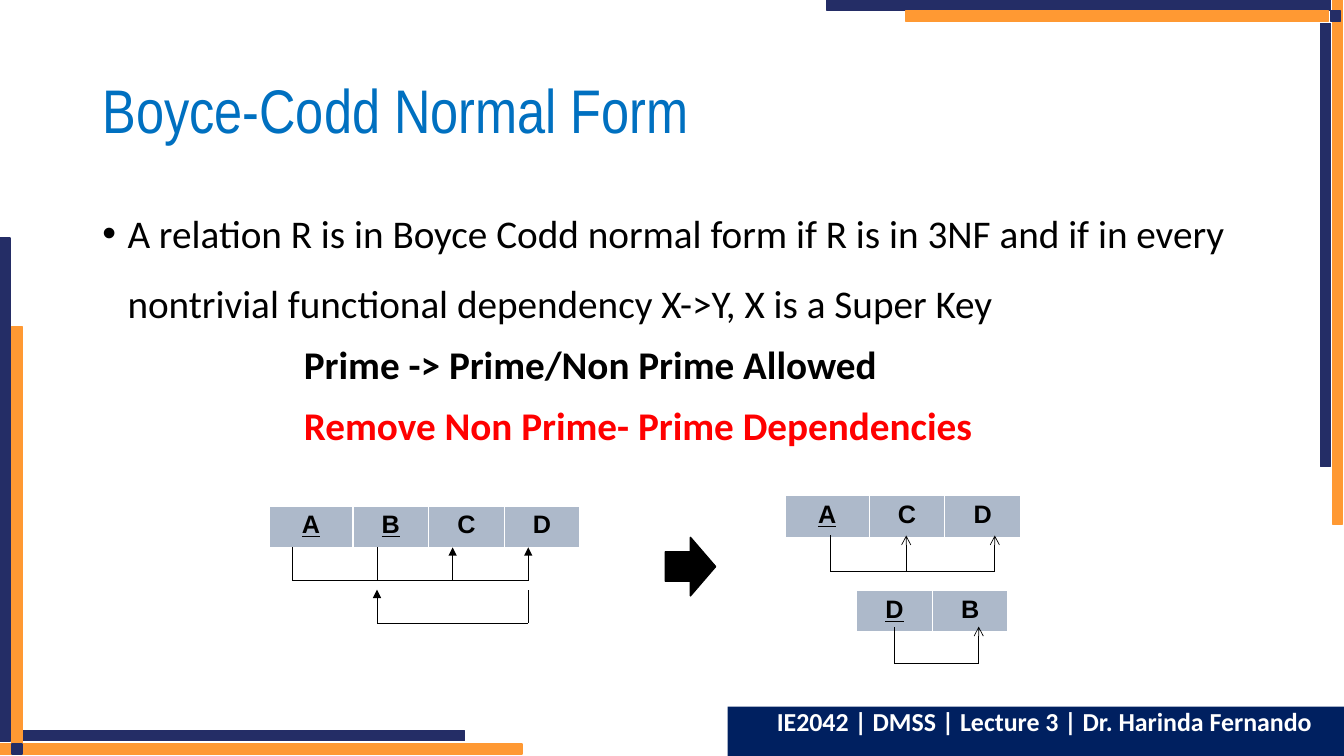
import pptx
import pptx.util
import pptx.dml.color
import pptx.enum.shapes
import pptx.enum.text
import lxml.etree
import pptx.oxml.ns

Pt = pptx.util.Pt
KIND = pptx.enum.shapes.MSO_SHAPE
ALIGN = pptx.enum.text.PP_ALIGN
ANCHOR = pptx.enum.text.MSO_ANCHOR
FIT = pptx.enum.text.MSO_AUTO_SIZE
qn = pptx.oxml.ns.qn

COLORS = {
    "navy": "242D66", "orange": "FF9933", "blue": "0070C0", "foot": "002060",
    "cell": "ADB9CA", "black": "000000", "red": "FF0000", "white": "FFFFFF",
}
BAR = 7.2
BARS = [
    ("orange", 951.8, 0, BAR, 374.4),
    ("navy", 943.2, 16.6, BAR, 316.8),
    ("navy", 590.4, 0, 360, BAR),
    ("orange", 646.6, 7.9, 302.4, BAR),
    ("navy", 950.4, 7.9, BAR, BAR),
    ("orange", 0, 531.4, 373, BAR),
    ("navy", 15.1, 522, 316.8, BAR),
    ("navy", 0, 169.9, BAR, 360),
    ("orange", 8.6, 233.3, BAR, 302.4),
    ("navy", 8.6, 531.4, BAR, BAR),
]


def color(name):
    return pptx.dml.color.RGBColor.from_string(COLORS[name])


def style(para, font, size, tint, bold=False):
    for run in para.runs:
        run.font.name = font
        run.font.size = Pt(size)
        run.font.bold = bold
        run.font.color.rgb = color(tint)


def indent(para, left, first=0):
    props = para._p.get_or_add_pPr()
    props.set("marL", str(Pt(left)))
    props.set("indent", str(Pt(first)))
    return props


def add_block(slide, kind, tint, x, y, w, h, edge=True):
    block = slide.shapes.add_shape(kind, Pt(x), Pt(y), Pt(w), Pt(h))
    block.shadow.inherit = False
    block.fill.solid()
    block.fill.fore_color.rgb = color(tint)
    if edge:
        block.line.color.rgb = color(tint)
        block.line.width = Pt(1)
    else:
        block.line.fill.background()
    return block


def add_title(slide, text):
    title = slide.shapes.title
    title.left, title.top, title.width, title.height = Pt(66), Pt(28.8), Pt(828), Pt(104.4)
    frame = title.text_frame
    frame.text = text
    frame.auto_size = FIT.NONE
    frame.vertical_anchor = ANCHOR.MIDDLE
    para = frame.paragraphs[0]
    para.alignment = ALIGN.LEFT
    para.line_spacing = 0.9
    style(para, "Arial Narrow", 44, "blue")


def add_body(slide, point, rules):
    frame = slide.shapes.add_textbox(Pt(66), Pt(128.9), Pt(854), Pt(361.4)).text_frame
    frame.word_wrap = True
    frame.text = point
    para = frame.paragraphs[0]
    props = indent(para, 18, -18)
    lxml.etree.SubElement(props, qn("a:buFont"), typeface="Arial")
    lxml.etree.SubElement(props, qn("a:buChar"), char="•")
    para.line_spacing = 1.5
    style(para, "Calibri", 28, "black")
    for text, tint in rules:
        para = frame.add_paragraph()
        para.text = text
        indent(para, 144)
        para.space_before = Pt(10)
        style(para, "Calibri", 28, tint, True)


def add_schema(slide, x, y, names, keys, widths):
    table = slide.shapes.add_table(
        1, len(names), Pt(x), Pt(y), Pt(sum(widths)), Pt(29.5)).table
    table.horz_banding = False
    for i, name in enumerate(names):
        table.columns[i].width = Pt(widths[i])
        cell = table.cell(0, i)
        cell.fill.solid()
        cell.fill.fore_color.rgb = color("cell")
        cell.text_frame.text = name
        para = cell.text_frame.paragraphs[0]
        para.alignment = ALIGN.CENTER
        style(para, "Arial", 18, "black", True)
        para.runs[0].font.underline = name in keys


def add_line(slide, x1, y1, x2, y2, tip=None):
    line = slide.shapes.add_connector(
        pptx.enum.shapes.MSO_CONNECTOR.STRAIGHT, Pt(x1), Pt(y1), Pt(x2), Pt(y2))
    line.line.color.rgb = color("black")
    line.line.width = Pt(0.5)
    if tip:
        lxml.etree.SubElement(line.line._get_or_add_ln(), qn("a:tailEnd"), type=tip)
    lxml.etree.SubElement(line._element.spPr, qn("a:effectLst"))


def add_links(slide, stems, top, base, tips, tip):
    add_line(slide, stems[0], base, stems[-1], base)
    for i, x in enumerate(stems):
        add_line(slide, x, base, x, top, tip if i in tips else None)


def add_footer(slide, text):
    block = add_block(slide, KIND.RECTANGLE, "foot", 519.8, 504.7, 440.2, 35.3, False)
    frame = block.text_frame
    frame.text = text
    frame.word_wrap = True
    frame.vertical_anchor = ANCHOR.TOP
    para = frame.paragraphs[0]
    indent(para, 12)
    para.alignment = ALIGN.CENTER
    para.line_spacing = 0.8
    style(para, "Calibri", 18.5, "white", True)


def main():
    deck = pptx.Presentation()
    deck.slide_width, deck.slide_height = Pt(960), Pt(540)
    slide = deck.slides.add_slide(deck.slide_layouts[5])
    for tint, *place in BARS:
        add_block(slide, KIND.RECTANGLE, tint, *place)
    add_title(slide, "Boyce-Codd Normal Form")
    add_body(
        slide,
        "A relation R is in Boyce Codd normal form if R is in 3NF and if in every "
        "nontrivial functional dependency X->Y, X is a Super Key",
        [("Prime -> Prime/Non Prime Allowed", "black"),
         ("Remove Non Prime- Prime Dependencies", "red")])
    add_schema(slide, 192.2, 361.4, "ABCD", "AB", [60, 54, 54, 54])
    add_links(slide, [208.8, 269.3, 323.3, 377.3], 391, 414.7, {2, 3}, "triangle")
    add_links(slide, [269.3, 377.3], 421.2, 445, {0}, "triangle")
    add_block(slide, KIND.RIGHT_ARROW, "black", 475.2, 383.8, 36, 41.8)
    add_schema(slide, 560.9, 354.2, "ACD", "A", [60, 54, 54])
    add_links(slide, [593.3, 647.3, 710.6], 382.5, 408.4, {1, 2}, "arrow")
    add_schema(slide, 612, 422, "DB", "D", [54, 54])
    add_links(slide, [638.6, 699.1], 447.6, 474, {1}, "arrow")
    add_footer(slide, "IE2042 | DMSS | Lecture 3 | Dr. Harinda Fernando")
    deck.save("out.pptx")


if __name__ == "__main__":
    main()
